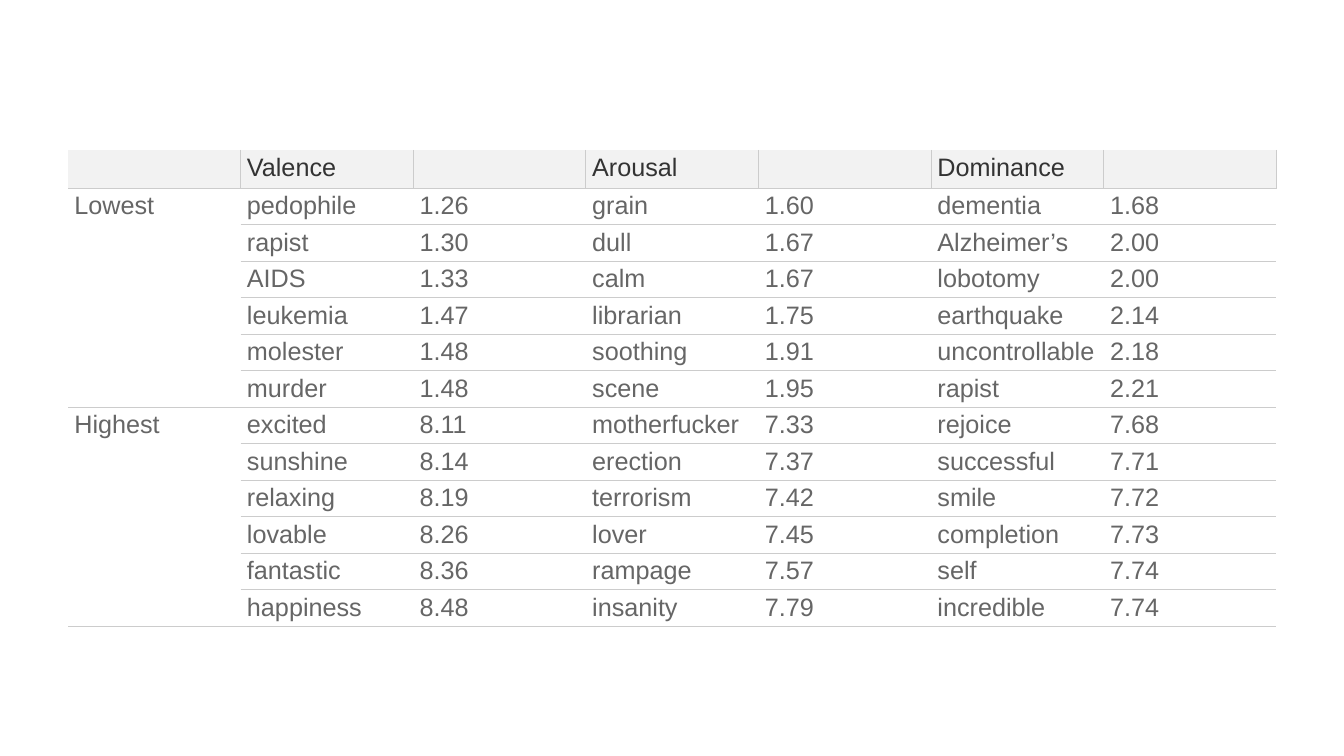
from dataclasses import dataclass

from pptx import Presentation
from pptx.dml.color import RGBColor
from pptx.oxml.ns import qn
from pptx.table import Table, _Cell
from pptx.util import Emu, Pt
from lxml import etree

PX = 5715
SLIDE_W, SLIDE_H = 2133, 1200
LEFT, TOP = 108, 238
COL_W, ROW_H = 274, 58
INSET_X, INSET_Y = 10, 6
BLANK_LAYOUT = 6
FONT, FONT_SIZE = "Arial", 18
GREY_LINE, LINE_WIDTH = "CCCCCC", 0.75
SIDES = "LRTB"


@dataclass(frozen=True)
class CellStyle:
    fill: str
    text: str


@dataclass(frozen=True)
class Group:
    label: str
    rows: list[tuple[str, ...]]


HEADER_STYLE = CellStyle("F2F2F2", "333333")
BODY_STYLE = CellStyle("FFFFFF", "666666")
HEADINGS = ("", "Valence", "", "Arousal", "", "Dominance", "")
GROUPS = [
    Group("Lowest", [
        ("pedophile", "1.26", "grain", "1.60", "dementia", "1.68"),
        ("rapist", "1.30", "dull", "1.67", "Alzheimer’s", "2.00"),
        ("AIDS", "1.33", "calm", "1.67", "lobotomy", "2.00"),
        ("leukemia", "1.47", "librarian", "1.75", "earthquake", "2.14"),
        ("molester", "1.48", "soothing", "1.91", "uncontrollable", "2.18"),
        ("murder", "1.48", "scene", "1.95", "rapist", "2.21"),
    ]),
    Group("Highest", [
        ("excited", "8.11", "motherfucker", "7.33", "rejoice", "7.68"),
        ("sunshine", "8.14", "erection", "7.37", "successful", "7.71"),
        ("relaxing", "8.19", "terrorism", "7.42", "smile", "7.72"),
        ("lovable", "8.26", "lover", "7.45", "completion", "7.73"),
        ("fantastic", "8.36", "rampage", "7.57", "self", "7.74"),
        ("happiness", "8.48", "insanity", "7.79", "incredible", "7.74"),
    ]),
]


def px(n: int) -> Emu:
    return Emu(n * PX)


def rgb(value: str) -> RGBColor:
    return RGBColor.from_string(value)


def set_borders(cell: _Cell, visible: str) -> None:
    props = cell._tc.get_or_add_tcPr()
    for i, side in enumerate(SIDES):
        line = etree.Element(qn(f"a:ln{side}"), w=str(Pt(LINE_WIDTH)))
        if side in visible:
            fill = etree.SubElement(line, qn("a:solidFill"))
            etree.SubElement(fill, qn("a:srgbClr"), val=GREY_LINE)
        else:
            etree.SubElement(line, qn("a:noFill"))
        props.insert(i, line)


def format_cell(cell: _Cell, text: str, style: CellStyle, borders: str) -> None:
    cell.margin_left = cell.margin_right = px(INSET_X)
    cell.margin_top = cell.margin_bottom = px(INSET_Y)
    cell.fill.solid()
    cell.fill.fore_color.rgb = rgb(style.fill)
    set_borders(cell, borders)
    p = cell.text_frame.paragraphs[0]
    p.text = text
    p.font.size = Pt(FONT_SIZE)
    for r in p.runs:
        r.font.name = FONT
        r.font.size = Pt(FONT_SIZE)
        r.font.bold = False
        r.font.color.rgb = rgb(style.text)


def fill_header(table: Table) -> None:
    for col, heading in enumerate(HEADINGS):
        format_cell(table.cell(0, col), heading, HEADER_STYLE, "LRB" if col else "RB")


def fill_group(table: Table, group: Group, first: int) -> None:
    last = first + len(group.rows) - 1
    for row, values in enumerate(group.rows, first):
        label = group.label if row == first else ""
        edges = "TB" if row == first else "B" if row == last else ""
        format_cell(table.cell(row, 0), label, BODY_STYLE, edges)
        for col, value in enumerate(values, 1):
            format_cell(table.cell(row, col), value, BODY_STYLE, "TB")
    table.cell(first, 0).merge(table.cell(last, 0))


def main() -> None:
    prs = Presentation()
    prs.slide_width, prs.slide_height = px(SLIDE_W), px(SLIDE_H)
    s = prs.slides.add_slide(prs.slide_layouts[BLANK_LAYOUT])
    n_cols = len(HEADINGS)
    n_rows = 1 + sum(len(group.rows) for group in GROUPS)
    table = s.shapes.add_table(
        n_rows, n_cols, px(LEFT), px(TOP), px(n_cols * COL_W), px(n_rows * ROW_H)
    ).table
    table.horz_banding = False
    for column in table.columns:
        column.width = px(COL_W)
    for row in table.rows:
        row.height = px(ROW_H)
    fill_header(table)
    first = 1
    for group in GROUPS:
        fill_group(table, group, first)
        first += len(group.rows)
    prs.save("out.pptx")


if __name__ == "__main__":
    main()
